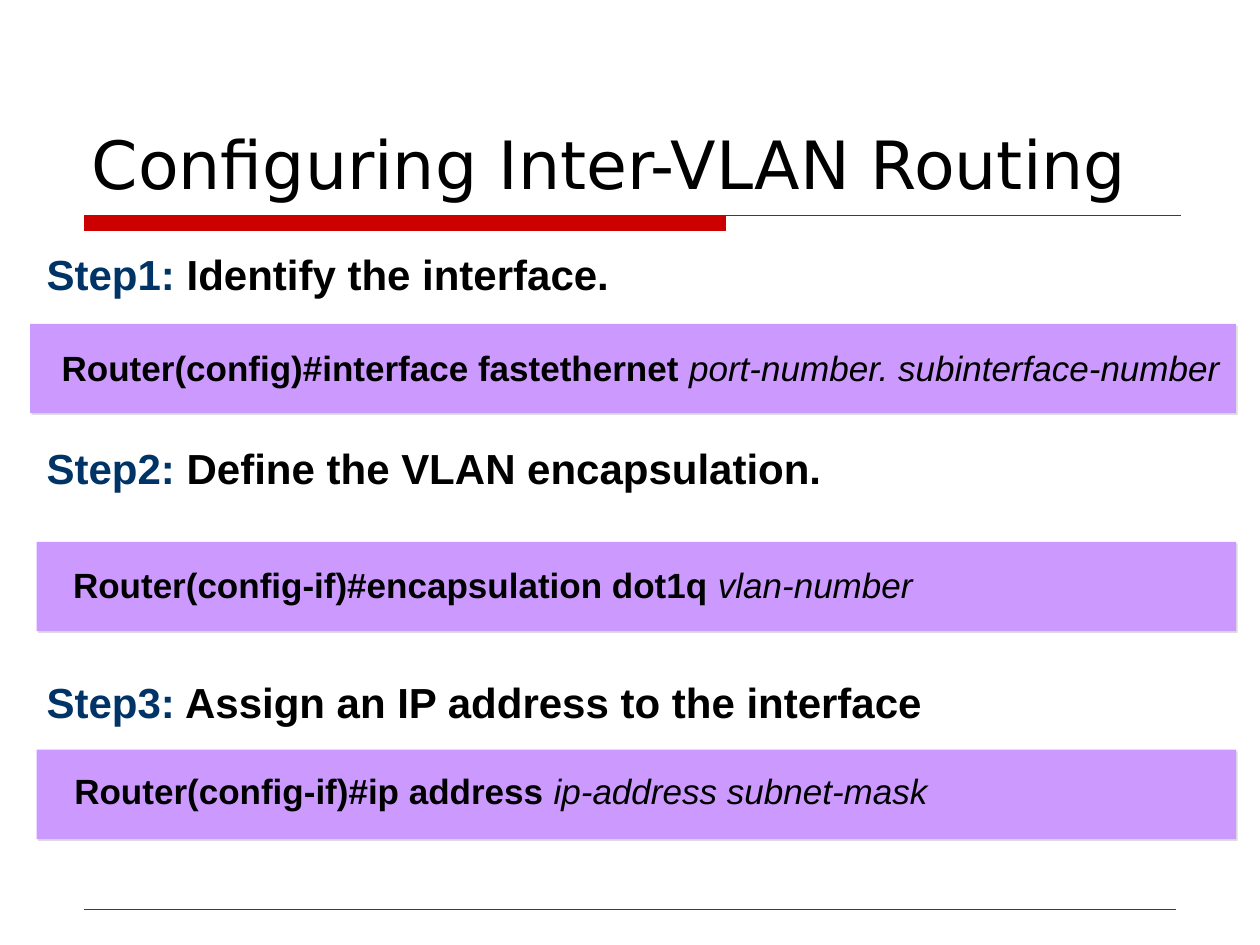
from dataclasses import dataclass

from lxml.etree import SubElement
from pptx import Presentation
from pptx.dml.color import RGBColor
from pptx.enum.shapes import MSO_CONNECTOR as Connector, MSO_SHAPE as Shape
from pptx.enum.text import MSO_ANCHOR as Anchor, MSO_AUTO_SIZE as AutoSize
from pptx.oxml.ns import qn
from pptx.util import Inches, Pt

BLACK = RGBColor(0x00, 0x00, 0x00)
RED = RGBColor(0xCC, 0x00, 0x00)
NAVY = RGBColor(0x00, 0x33, 0x66)
LILAC = RGBColor(0xCC, 0x99, 0xFF)
SHADOW_GREY = RGBColor(0xDD, 0xDD, 0xDD)

# Grid of 100 columns and 75 rows over a 10 by 7.5 inch slide
CELL = Inches(0.1)
MARGIN = 6.7
STEP_LEFT = 2.9
BAND_RIGHT = 98.1
BAND_ROWS = 7.1


@dataclass(frozen=True)
class Area:
    left: float
    top: float
    columns: float
    rows: float

    def lengths(self) -> list[int]:
        return [cells(n) for n in (self.left, self.top, self.columns, self.rows)]


@dataclass(frozen=True)
class Run:
    text: str
    size: int
    color: RGBColor = BLACK
    bold: bool = False
    italic: bool = False
    font: str = "Arial"


@dataclass(frozen=True)
class Step:
    label: str
    action: str
    top: float
    columns: float
    band_left: float
    band_top: float
    command: str
    arguments: str
    command_area: Area


STEPS = [
    Step("Step1:", " Identify the interface.", 19.3, 46.8, 2.4, 25.7,
         "Router(config)#interface fastethernet ",
         "port-number. subinterface-number", Area(4.1, 27.1, 93.6, 4.1)),
    Step("Step2:", " Define the VLAN encapsulation.", 34.7, 63.1, 2.9, 43,
         "Router(config-if)#encapsulation dot1q ",
         "vlan-number", Area(5, 44.3, 69, 4.1)),
    Step("Step3:", " Assign an IP address to the interface", 53.3, 80.8, 2.9, 59.5,
         "Router(config-if)#ip address ",
         "ip-address subnet-mask", Area(5.1, 60.7, 70.1, 4.1)),
]


def cells(count: float) -> int:
    return round(count * CELL)


def add_text(slide, area: Area, runs: list[Run], anchor=Anchor.TOP,
             inset_x: float = 0.8, inset_y: float = 0.4,
             auto_size=AutoSize.SHAPE_TO_FIT_TEXT) -> None:
    frame = slide.shapes.add_textbox(*area.lengths()).text_frame
    frame.word_wrap = auto_size == AutoSize.NONE
    frame.auto_size = auto_size
    frame.vertical_anchor = anchor
    frame.margin_left = frame.margin_right = cells(inset_x)
    frame.margin_top = frame.margin_bottom = cells(inset_y)
    paragraph = frame.paragraphs[0]
    for item in runs:
        run = paragraph.add_run()
        run.text = item.text
        run.font.name = item.font
        run.font.size = Pt(item.size)
        run.font.bold = item.bold
        run.font.italic = item.italic
        run.font.color.rgb = item.color


def add_underline(slide, bar: Area, rule_right: float) -> None:
    """Draw a thick bar whose top edge runs on as a thin rule."""
    left, top, width, height = bar.lengths()
    right, bottom = left + width, top + height
    builder = slide.shapes.build_freeform(left, top)
    builder.add_line_segments([(right, top), (right, bottom), (left, bottom)], close=True)
    builder.move_to(left, top)
    builder.add_line_segments([(cells(rule_right), top)], close=False)
    shape = builder.convert_to_shape()
    shape.shadow.inherit = False
    shape.fill.solid()
    shape.fill.fore_color.rgb = RED
    shape.line.color.rgb = RED
    shape.line.width = Pt(0.75)


def add_footer_rule(slide, right: float, row: float) -> None:
    connector = slide.shapes.add_connector(
        Connector.STRAIGHT, cells(MARGIN), cells(row), cells(right), cells(row))
    connector.line.fill.solid()
    connector.line.fill.fore_color.rgb = RED
    connector.line.width = Pt(0.25)
    SubElement(connector._element.spPr, qn("a:effectLst"))
    # The line's own colour and width replace the theme style
    connector._element.remove(connector._element.find(qn("p:style")))


def add_band(slide, area: Area) -> None:
    band = slide.shapes.add_shape(Shape.RECTANGLE, *area.lengths())
    band.shadow.inherit = False
    band.fill.solid()
    band.fill.fore_color.rgb = LILAC
    band.line.fill.background()
    effects = band._element.spPr.find(qn("a:effectLst"))
    shadow = SubElement(effects, qn("a:outerShdw"), dist=str(Pt(1.4)),
                        dir="2700000", algn="ctr", rotWithShape="0")
    SubElement(shadow, qn("a:srgbClr"), val=str(SHADOW_GREY))


def add_step(slide, step: Step) -> None:
    add_band(slide, Area(step.band_left, step.band_top,
                         BAND_RIGHT - step.band_left, BAND_ROWS))
    add_text(slide, Area(STEP_LEFT, step.top, step.columns, 4.8),
             [Run(step.label, 24, NAVY, bold=True),
              Run(step.action, 24, bold=True)])
    add_text(slide, step.command_area,
             [Run(step.command, 20, bold=True),
              Run(step.arguments, 20, italic=True)])


def main() -> None:
    presentation = Presentation()
    presentation.slide_width = 100 * CELL
    presentation.slide_height = 75 * CELL
    slide = presentation.slides.add_slide(presentation.slide_layouts[6])

    # Title underline and footer rule
    add_underline(slide, Area(MARGIN, 17.1, 50.9, 1.2), rule_right=93.7)
    add_footer_rule(slide, right=93.3, row=72.2)

    # Title
    add_text(slide, Area(6.3, 3.3, 87.5, 13.3),
             [Run("Configuring Inter-VLAN Routing", 38, font="DejaVu Sans")],
             anchor=Anchor.BOTTOM, inset_x=1, inset_y=0.5, auto_size=AutoSize.NONE)

    # Steps with their command bands
    for step in STEPS:
        add_step(slide, step)

    presentation.save("out.pptx")


if __name__ == "__main__":
    main()
